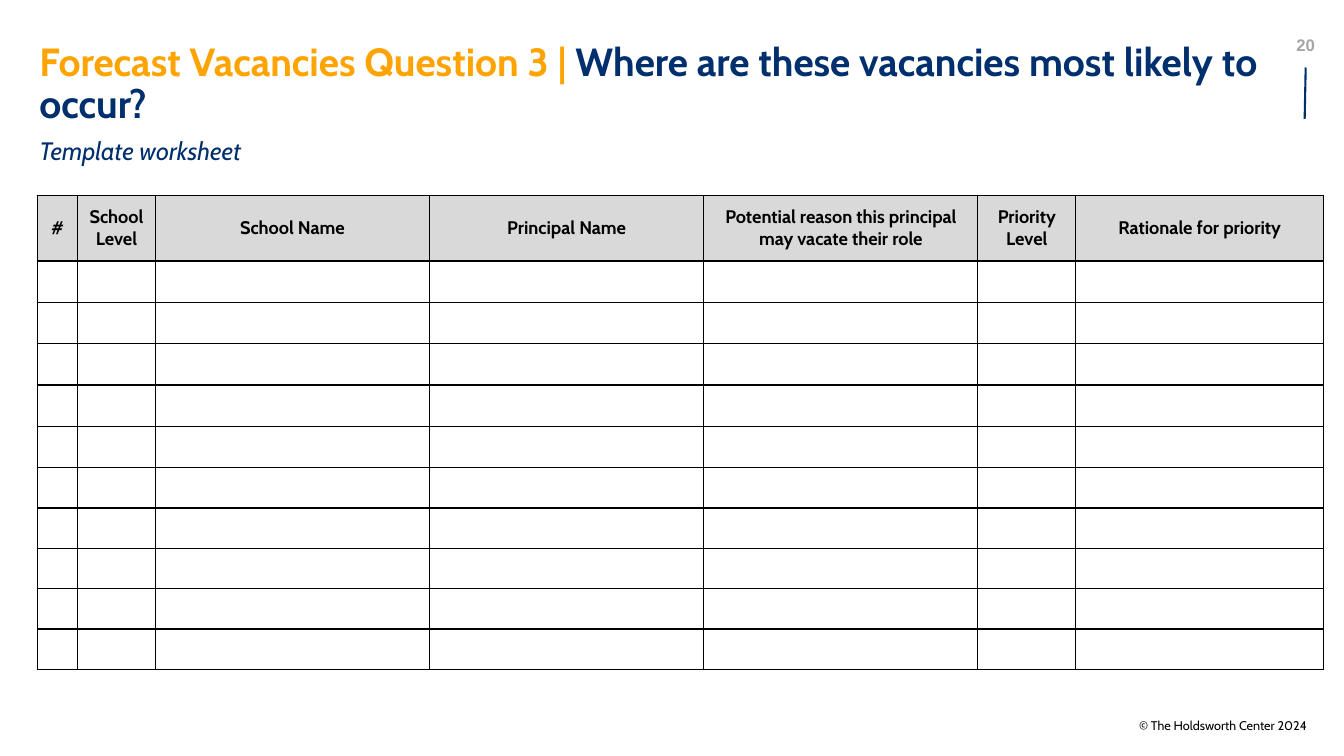
from lxml.etree import SubElement
from pptx import Presentation
from pptx.dml.color import RGBColor
from pptx.enum.shapes import MSO_CONNECTOR
from pptx.enum.text import MSO_ANCHOR, PP_ALIGN
from pptx.oxml.ns import qn
from pptx.util import Inches, Pt

COLORS = {
    "navy": "002F6E",
    "orange": "FEA300",
    "gray": "A6A6A6",
    "header": "D9D9D9",
    "black": "000000",
    "white": "FFFFFF",
}


def add_run(paragraph, text, size, color, font="Cabin", bold=False, italic=False):
    run = paragraph.add_run()
    run.text = text
    run.font.name = font
    run.font.size = Pt(size)
    run.font.bold = bold
    run.font.italic = italic
    run.font.color.rgb = RGBColor.from_string(COLORS[color])


def format_frame(frame, anchor, wrap=True):
    frame.margin_left = frame.margin_right = 0
    frame.margin_top = frame.margin_bottom = 0
    frame.vertical_anchor = anchor
    frame.word_wrap = wrap
    return frame.paragraphs[0]


presentation = Presentation()
presentation.slide_width = Inches(13.33)
presentation.slide_height = Inches(7.5)
slide = presentation.slides.add_slide(presentation.slide_layouts[5])
shapes = slide.shapes

# Page number and the rule below it
number_box = shapes.add_textbox(Inches(12.56), Inches(0.29), Inches(0.78), Inches(0.3))
paragraph = format_frame(number_box.text_frame, MSO_ANCHOR.MIDDLE)
paragraph.alignment = PP_ALIGN.CENTER
add_run(paragraph, "20", 12, "gray", font="Arial", bold=True)

rule = shapes.add_connector(
    MSO_CONNECTOR.STRAIGHT, Inches(12.95), Inches(0.67), Inches(12.94), Inches(1.18)
)
rule.line.color.rgb = RGBColor.from_string(COLORS["navy"])
rule.line.width = Pt(1.5)
SubElement(rule._element.spPr, qn("a:effectLst"))

# Copyright line
copyright_box = shapes.add_textbox(Inches(11.29), Inches(7.12), Inches(1.67), Inches(0.15))
paragraph = format_frame(copyright_box.text_frame, MSO_ANCHOR.TOP, wrap=False)
paragraph.alignment = PP_ALIGN.RIGHT
add_run(paragraph, "© The Holdsworth Center 2024", 9, "black")

# Title and subtitle
title = shapes.title
title.left, title.top = Inches(0.39), Inches(0.42)
title.width, title.height = Inches(12.17), Inches(0.38)
paragraph = format_frame(title.text_frame, MSO_ANCHOR.TOP)
paragraph.alignment = PP_ALIGN.LEFT
paragraph.line_spacing = 0.9
add_run(paragraph, "Forecast Vacancies Question 3 | ", 28, "orange", bold=True)
add_run(paragraph, "Where are these vacancies most likely to occur?", 28, "navy", bold=True)

subtitle = shapes.add_textbox(Inches(0.39), Inches(1.35), Inches(10.55), Inches(0.28))
paragraph = format_frame(subtitle.text_frame, MSO_ANCHOR.MIDDLE)
add_run(paragraph, "Template worksheet", 18, "navy", italic=True)

# Worksheet table: a header row and ten empty rows
columns = [
    ("#", 0.4),
    ("School Level", 0.77),
    ("School Name", 2.72),
    ("Principal Name", 2.72),
    ("Potential reason this principal may vacate their role", 2.72),
    ("Priority Level", 0.97),
    ("Rationale for priority", 2.46),
]
row_heights = [0.65] + [0.41] * 5 + [0.4] * 5
table = shapes.add_table(
    len(row_heights), len(columns), Inches(0.37), Inches(1.94), Inches(12.77), Inches(4.7)
).table
for row, height in zip(table.rows, row_heights):
    row.height = Inches(height)
for column, (heading, width) in zip(table.columns, columns):
    column.width = Inches(width)

for row_index in range(len(row_heights)):
    for column_index, (heading, width) in enumerate(columns):
        cell = table.cell(row_index, column_index)
        cell.margin_left = cell.margin_right = Inches(0.08)
        cell.margin_top = cell.margin_bottom = Inches(0.04)
        cell.vertical_anchor = MSO_ANCHOR.MIDDLE
        # Borders go before the fill in the cell properties
        properties = cell._tc.get_or_add_tcPr()
        for side in ("lnL", "lnR", "lnT", "lnB"):
            border = SubElement(properties, qn(f"a:{side}"), w=str(Pt(1)))
            border_fill = SubElement(border, qn("a:solidFill"))
            SubElement(border_fill, qn("a:srgbClr"), val=COLORS["black"])
        cell.fill.solid()
        fill_color = "header" if row_index == 0 else "white"
        cell.fill.fore_color.rgb = RGBColor.from_string(COLORS[fill_color])
        if row_index == 0:
            paragraph = cell.text_frame.paragraphs[0]
            paragraph.alignment = PP_ALIGN.CENTER
            add_run(paragraph, heading, 13, "black", bold=True)

presentation.save("out.pptx")
